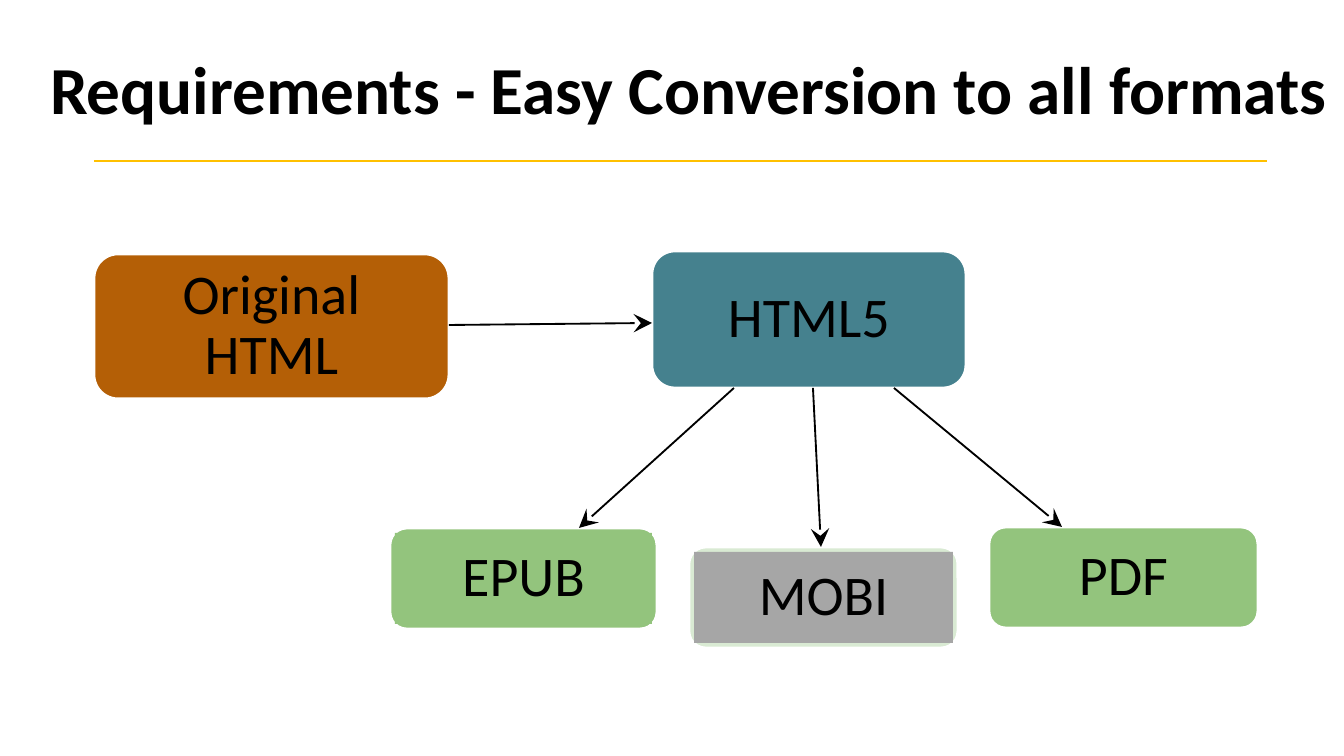
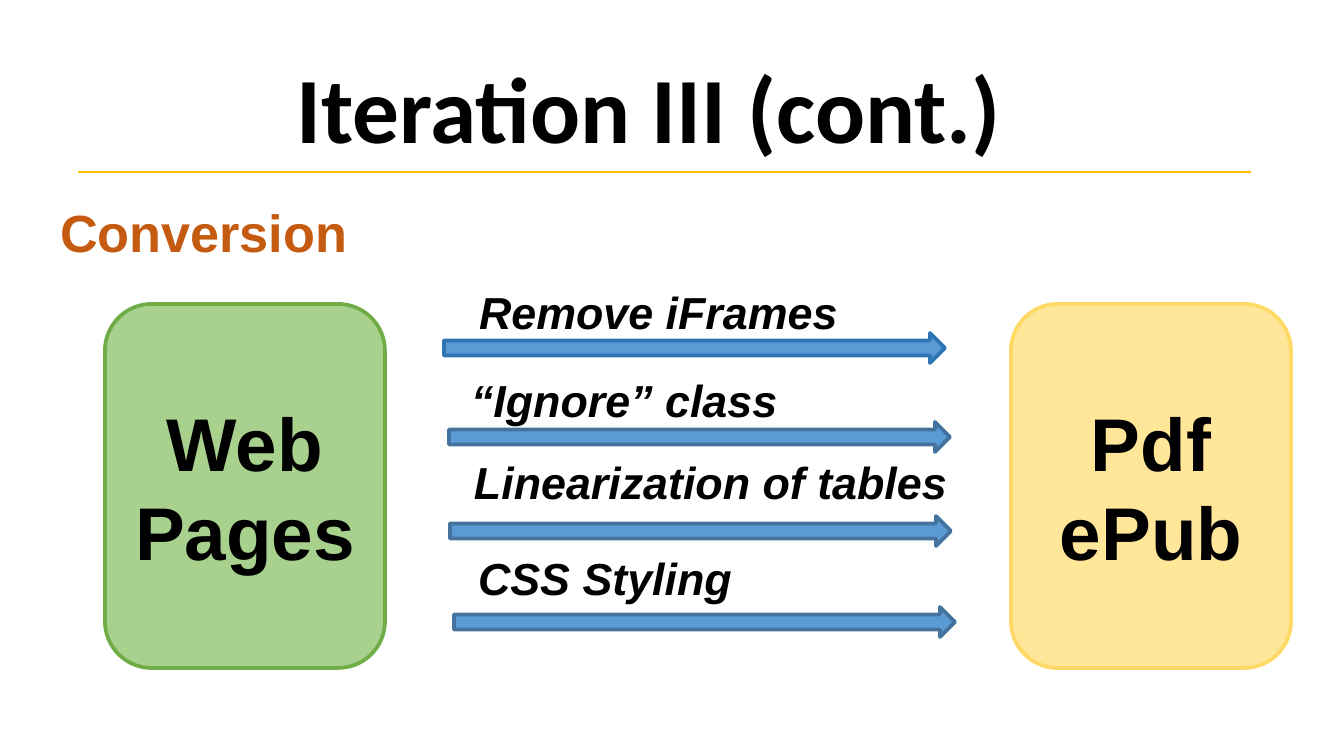
from lxml.etree import SubElement
from pptx import Presentation
from pptx.dml.color import RGBColor
from pptx.enum.shapes import MSO_CONNECTOR, MSO_SHAPE
from pptx.enum.text import MSO_ANCHOR, MSO_AUTO_SIZE, PP_ALIGN
from pptx.oxml.ns import qn
from pptx.util import Pt

EMU_PER_PX = 914400 / 134.4
SLIDE_SIZE = (1344, 756)
RULE_WIDTH = 1173

COLORS = {
    "text": "000000",
    "rule": "FFC000",
    "outline": "FFFFFF",
    "teal": "45818E",
    "brown": "B45F06",
    "green": "93C47D",
    "pale_green": "D9EAD3",
    "gray": "A6A6A6",
    "heading": "C55A11",
    "web": "A9D18E",
    "web_line": "70AD47",
    "book": "FFE699",
    "book_line": "FFD966",
    "arrow": "5B9BD5",
    "first_arrow_line": "2E75B6",
    "arrow_line": "43739E",
}

# Title, area, size, alignment, anchor, left and top of the rule
FORMATS_TITLE = ("Requirements - Easy Conversion to all formats", (40, 51, 1313, 146),
                 36, PP_ALIGN.LEFT, MSO_ANCHOR.TOP, (94, 161))
ITERATION_TITLE = ("Iteration III (cont.)", (22, 40, 1254, 146),
                   50, PP_ALIGN.CENTER, MSO_ANCHOR.MIDDLE, (78, 172))

# Label, area, fill, fill of the inner panel
FORMATS = [
    ("HTML5", (652, 251, 314, 137), "teal", None),
    ("Original HTML", (94, 254, 355, 145), "brown", None),
    ("EPUB", (390, 528, 267, 101), "green", "green"),
    ("MOBI", (689, 547, 269, 101), "pale_green", "gray"),
    ("PDF", (989, 527, 269, 101), "green", None),
]
PANEL_INSET = 5

CONVERSIONS = [
    ((449, 325), (652, 323)),
    ((734, 388), (579, 528)),
    ((813, 388), (821, 547)),
    ((894, 388), (1062, 527)),
]

# Text, left, fill, line
ENDPOINTS = [
    ("Web Pages", 105, "web", "web_line"),
    ("Pdf\nePub", 1011, "book", "book_line"),
]

# Text, left and top of the text, left and top of the arrow, line
STEPS = [
    ("Remove iFrames", (466, 278), (444, 333), "first_arrow_line"),
    ("“Ignore” class", (458, 366), (449, 422), "arrow_line"),
    ("Linearization of tables", (461, 448), (450, 516), "arrow_line"),
    ("CSS Styling", (465, 544), (454, 607), "arrow_line"),
]


def px(*lengths):
    return [round(length * EMU_PER_PX) for length in lengths]


def color(name):
    return RGBColor.from_string(COLORS[name])


def write(shape, text, size, font="Arial", align=PP_ALIGN.LEFT, anchor=MSO_ANCHOR.TOP,
          insets=(13, 7), bold=True, italic=False, ink="text", line_spacing=None, after=None):
    frame = shape.text_frame
    frame.text = text
    frame.word_wrap = True
    frame.auto_size = MSO_AUTO_SIZE.NONE
    frame.vertical_anchor = anchor
    side, end = px(*insets)
    frame.margin_left = frame.margin_right = side
    frame.margin_top = frame.margin_bottom = end
    for paragraph in frame.paragraphs:
        paragraph.alignment = align
        if line_spacing:
            paragraph.line_spacing = line_spacing
        if after:
            paragraph.space_after = Pt(after)
        for run in paragraph.runs:
            run.font.name = font
            run.font.size = Pt(size)
            run.font.bold = bold
            run.font.italic = italic
            run.font.color.rgb = color(ink)


def add_block(page, kind, area, fill, line=None, width=1.5):
    block = page.shapes.add_shape(kind, *px(*area))
    block.shadow.inherit = False
    block.fill.solid()
    block.fill.fore_color.rgb = color(fill)
    if line:
        block.line.color.rgb = color(line)
        block.line.width = Pt(width)
    else:
        block.line.fill.background()
    return block


def add_line(page, start, end, ink, width, arrow=False):
    line = page.shapes.add_connector(MSO_CONNECTOR.STRAIGHT, *px(*start, *end))
    line.line.color.rgb = color(ink)
    line.line.width = Pt(width)
    if arrow:
        SubElement(line.line._get_or_add_ln(), qn("a:tailEnd"),
                   type="stealth", w="lg", len="lg")
    SubElement(line._element.spPr, qn("a:effectLst"))


def add_page(deck, heading):
    """Add a slide with its title and the yellow rule below it."""
    text, area, size, align, anchor, (left, top) = heading
    page = deck.slides.add_slide(deck.slide_layouts[5])
    title = page.shapes.title
    title.left, title.top, title.width, title.height = px(*area)
    write(title, text, size, "Calibri", align, anchor, insets=(10, 5), line_spacing=0.9)
    add_line(page, (left, top), (left + RULE_WIDTH, top), "rule", 1.5)
    return page


def build_formats(deck):
    page = add_page(deck, FORMATS_TITLE)
    for label, area, fill, panel_fill in FORMATS:
        box = add_block(page, MSO_SHAPE.ROUNDED_RECTANGLE, area, fill, "outline")
        if panel_fill:
            left, top, width, height = area
            panel = (left + PANEL_INSET, top + PANEL_INSET,
                     width - 2 * PANEL_INSET, height - 2 * PANEL_INSET)
            box = add_block(page, MSO_SHAPE.RECTANGLE, panel, panel_fill)
        write(box, label, 30, "Calibri", PP_ALIGN.CENTER, MSO_ANCHOR.MIDDLE,
              insets=(11, 11), bold=False, line_spacing=0.9, after=11)
    for start, end in CONVERSIONS:
        add_line(page, start, end, "text", 1, arrow=True)


def build_iteration(deck):
    page = add_page(deck, ITERATION_TITLE)
    heading = page.shapes.add_textbox(*px(36, 187, 1278, 507))
    write(heading, "Conversion", 28, insets=(13, 13), ink="heading")
    heading.text_frame.margin_left = px(24)[0]
    for text, left, fill, line in ENDPOINTS:
        card = add_block(page, MSO_SHAPE.ROUNDED_RECTANGLE, (left, 304, 280, 364),
                         fill, line, 2)
        write(card, text, 40, align=PP_ALIGN.CENTER, anchor=MSO_ANCHOR.MIDDLE)
    for text, text_corner, arrow_corner, line in STEPS:
        add_block(page, MSO_SHAPE.RIGHT_ARROW, (*arrow_corner, 501, 30), "arrow", line, 2)
        label = page.shapes.add_textbox(*px(*text_corner, 504, 67))
        write(label, text, 24, italic=True)


def main():
    deck = Presentation()
    deck.slide_width, deck.slide_height = px(*SLIDE_SIZE)
    build_formats(deck)
    build_iteration(deck)
    deck.save("out.pptx")


if __name__ == "__main__":
    main()
